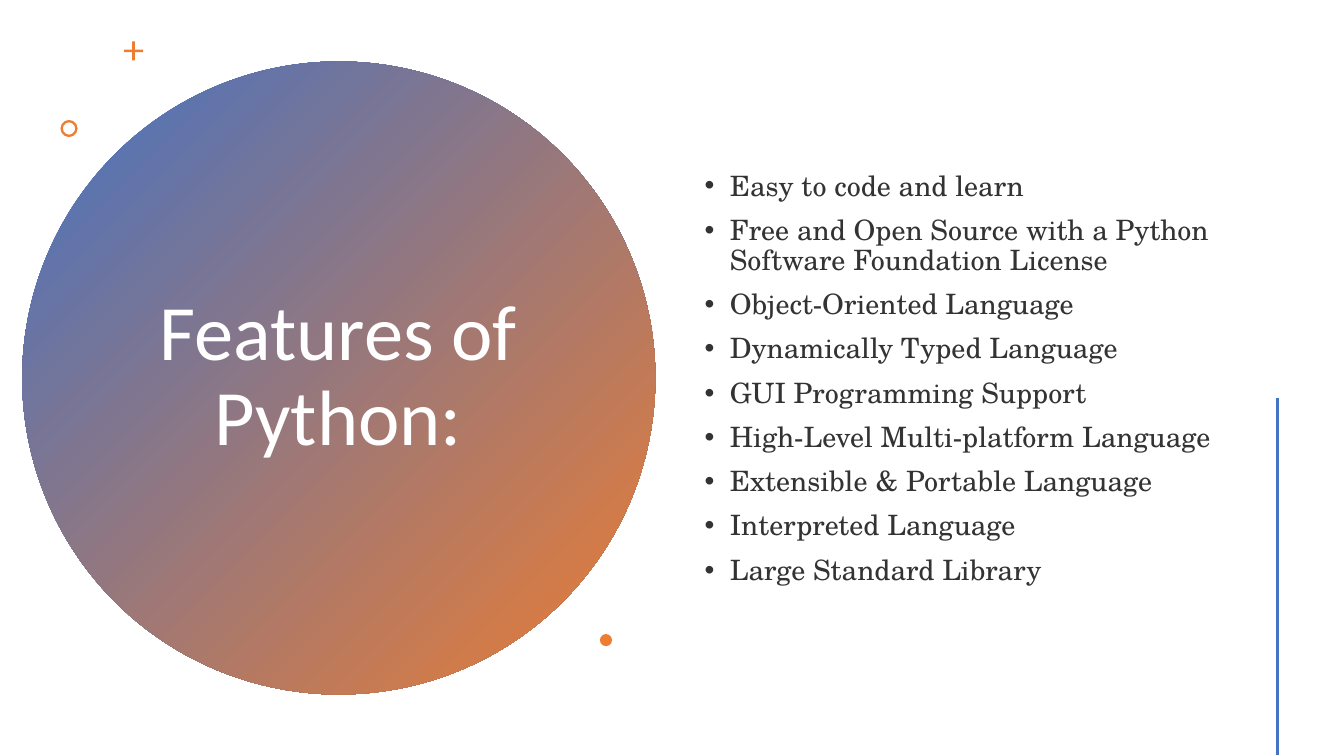
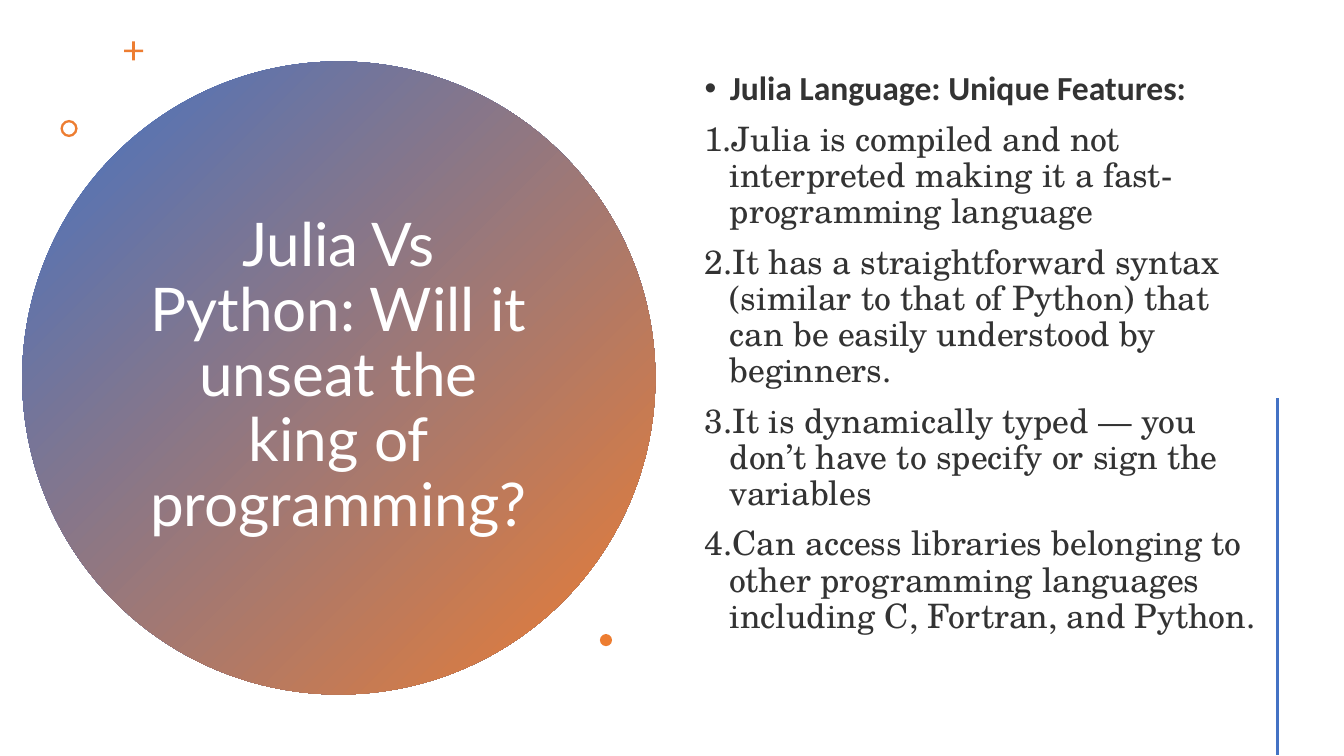
import pptx
import pptx.util
import pptx.dml.color
import pptx.enum.shapes
import pptx.enum.text
import lxml.etree
from pptx.oxml.ns import qn

Inches = pptx.util.Inches
Pt = pptx.util.Pt
Shape = pptx.enum.shapes.MSO_SHAPE
COLORS = {"blue": "4472C4", "orange": "ED7D31", "white": "FFFFFF", "ink": "333333"}
SERIF = "TeX Gyre Schola"
CIRCLE = (0.22, 0.61, 6.28)


def color(name):
    """Return the named palette colour."""
    return pptx.dml.color.RGBColor.from_string(COLORS[name])


def set_font(paragraph, name, size, tone, bold=False):
    """Format a whole paragraph."""
    font = paragraph.font
    font.name, font.size, font.bold = name, Pt(size), bold
    font.color.rgb = color(tone)


def add_plain_shape(page, kind, left, top, size):
    """Add a square orange preset shape with no outline or shadow."""
    shape = page.shapes.add_shape(kind, Inches(left), Inches(top), Inches(size), Inches(size))
    shape.shadow.inherit = False
    shape.line.fill.background()
    shape.fill.solid()
    shape.fill.fore_color.rgb = color("orange")
    return shape


def add_title_circle(page, box, text, font, size):
    """Place the gradient circle and the title centred in it."""
    left, top, diameter = box
    circle = add_plain_shape(page, Shape.OVAL, left, top, diameter)
    circle.fill.gradient()
    circle.fill.gradient_angle = 315
    for stop, tone in zip(circle.fill.gradient_stops, ("blue", "orange")):
        stop.color.rgb = color(tone)

    title = page.shapes.title
    title.left, title.top = Inches(left + 1.14), Inches(top + 0.8)
    title.width, title.height = Inches(3.99), Inches(4.67)
    circle.element.addnext(title.element)
    frame = title.text_frame
    frame.text = text
    frame.word_wrap = True
    frame.auto_size = pptx.enum.text.MSO_AUTO_SIZE.NONE
    frame.vertical_anchor = pptx.enum.text.MSO_ANCHOR.MIDDLE
    para = frame.paragraphs[0]
    para.alignment = pptx.enum.text.PP_ALIGN.CENTER
    para.line_spacing = 0.9
    set_font(para, font, size, "white")


def add_ornaments(page, box):
    """Place the plus, ring and dot around the circle."""
    left, top, diameter = box
    plus = add_plain_shape(page, Shape.CROSS, left + 1.01, top - 0.2, 0.19)
    plus.adjustments[0] = 0.43
    ring = add_plain_shape(page, Shape.DONUT, left + 0.38, top + 0.58, 0.17)
    ring.adjustments[0] = 0.14
    add_plain_shape(page, Shape.OVAL, left + diameter - 0.55, top + diameter - 0.6, 0.12)


def add_side_line(page, left, top, bottom):
    """Draw the vertical accent line at the right."""
    line = page.shapes.add_connector(
        pptx.enum.shapes.MSO_CONNECTOR.STRAIGHT,
        Inches(left), Inches(top), Inches(left), Inches(bottom))
    line.line.color.rgb = color("blue")
    line.line.width = Pt(2)
    lxml.etree.SubElement(line.element.spPr, qn("a:effectLst"))


def set_marker(paragraph, numbered):
    """Give a paragraph a hanging bullet or number."""
    properties = paragraph._p.get_or_add_pPr()
    properties.set("marL", str(Inches(0.25)))
    properties.set("indent", str(-Inches(0.25)))
    if numbered:
        lxml.etree.SubElement(properties, qn("a:buFont"), typeface="+mj-lt")
        lxml.etree.SubElement(properties, qn("a:buAutoNum"), type="arabicPeriod")
    else:
        lxml.etree.SubElement(properties, qn("a:buFont"), typeface="Arial")
        lxml.etree.SubElement(properties, qn("a:buChar"), char="\u2022")


def add_list(page, box, items, size, bottom_inset=0.05):
    """Fill the box with (text, numbered, font, bold) items."""
    body = page.shapes.add_textbox(*map(Inches, box))
    frame = body.text_frame
    frame.word_wrap = True
    frame.vertical_anchor = pptx.enum.text.MSO_ANCHOR.MIDDLE
    frame.margin_bottom = Inches(bottom_inset)
    for index, (text, numbered, font, bold) in enumerate(items):
        para = frame.add_paragraph() if index else frame.paragraphs[0]
        para.text = text
        para.line_spacing = 0.9
        para.space_before = Pt(10)
        set_marker(para, numbered)
        set_font(para, font, size, "ink", bold)


def add_circle_slide(deck, title, font, size):
    """Add a slide with the shared circle, ornaments and line."""
    page = deck.slides.add_slide(deck.slide_layouts[5])
    add_title_circle(page, CIRCLE, title, font, size)
    add_ornaments(page, CIRCLE)
    add_side_line(page, 12.67, 3.95, 7.49)
    return page


def build_features(deck):
    """Build the slide on Python features."""
    page = add_circle_slide(deck, "Features of Python:", "Calibri", 56)
    features = [
        "Easy to code and learn",
        "Free and Open Source with a Python Software Foundation License",
        "Object-Oriented Language",
        "Dynamically Typed Language",
        "GUI Programming Support",
        "High-Level Multi-platform Language",
        "Extensible & Portable Language",
        "Interpreted Language",
        "Large Standard Library",
    ]
    items = [(text, False, SERIF, False) for text in features]
    add_list(page, (6.89, 0.57, 5.22, 6.38), items, 20)


def build_comparison(deck):
    """Build the slide on Julia and Python."""
    page = add_circle_slide(
        deck, "Julia Vs Python: Will it unseat the king of programming?", "Lato", 43)
    points = [
        "Julia is compiled and not interpreted making it a fast-programming language",
        "It has a straightforward syntax (similar to that of Python) "
        "that can be easily understood by beginners.",
        "It is dynamically typed \u2014 you don\u2019t have to specify or sign the variables",
        "Can access libraries belonging to other programming languages "
        "including C, Fortran, and Python.",
    ]
    items = [("Julia Language: Unique Features:", False, "Calibri", True)]
    items += [(text, True, SERIF, False) for text in points]
    add_list(page, (6.89, 0.57, 5.78, 6.38), items, 24, bottom_inset=0.55)


deck = pptx.Presentation()
deck.slide_width, deck.slide_height = Inches(13.33), Inches(7.5)
build_features(deck)
build_comparison(deck)
deck.save("out.pptx")
